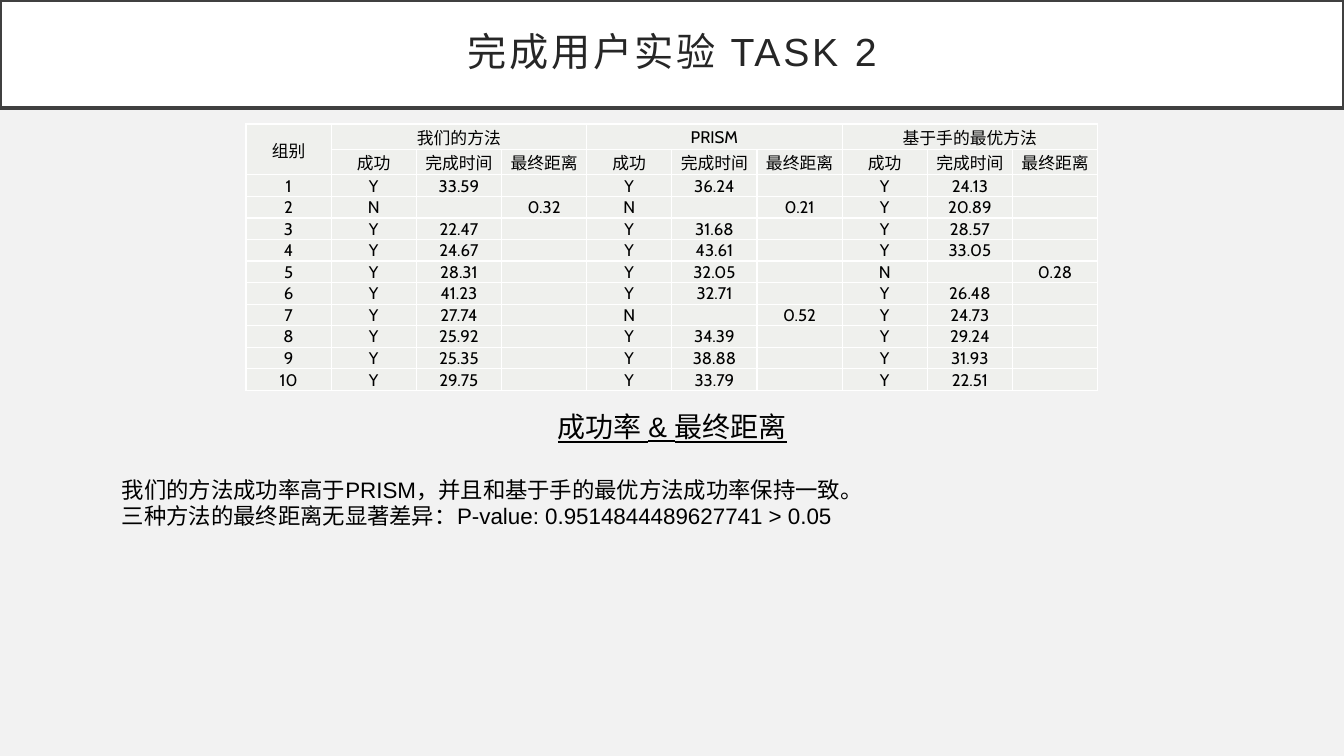
from lxml.etree import SubElement as Sub
from pptx import Presentation
from pptx.dml.color import RGBColor
from pptx.enum.text import MSO_ANCHOR as Anchor, MSO_AUTO_SIZE as Fit, PP_ALIGN as Align
from pptx.oxml.ns import qn
from pptx.util import Pt

SCALE = 914400 / 100.8
HEADS = ["成功", "完成时间", "最终距离"]
METHODS = {
    "我们的方法": "33.59 0.32 22.47 24.67 28.31 41.23 27.74 25.92 25.35 29.75",
    "PRISM": "36.24 0.21 31.68 43.61 32.05 32.71 0.52 34.39 38.88 33.79",
    "基于手的最优方法": "24.13 20.89 28.57 33.05 0.28 26.48 24.73 29.24 31.93 22.51",
}


def px(size):
    return round(size * SCALE)


def color(code):
    return RGBColor.from_string(code)


def result(value):
    return ["N", "", value] if value.startswith("0.") else ["Y", value, ""]


def make_rows():
    top, heads = ["组别"], [""]
    for name in METHODS:
        top += [name, "", ""]
        heads += HEADS
    rows = [top, heads]
    trials = zip(*(values.split() for values in METHODS.values()))
    for group, trial in enumerate(trials, 1):
        rows.append([str(group)] + [text for value in trial for text in result(value)])
    return rows


class Deck:
    font = "Arial"
    grid_font = "Cabin"
    ink = "000000"
    dark = "262626"
    edge = "404040"
    white = "FFFFFF"
    back = "F2F2F2"
    tint = "EFF0ED"

    def __init__(self, width, height):
        self.show = Presentation()
        self.show.slide_width, self.show.slide_height = px(width), px(height)
        self.slide = self.show.slides.add_slide(self.show.slide_layouts[5])
        fill = self.slide.background.fill
        fill.solid()
        fill.fore_color.rgb = color(self.back)

    def style(self, para, size, font, ink, align=Align.LEFT, line=False):
        para.alignment = align
        for run in para.runs:
            run.font.size = Pt(size)
            run.font.name = font
            run.font.color.rgb = color(ink)
            run.font.underline = line

    def title(self, text, left, top, width, height, pad):
        shape = self.slide.shapes.title
        shape.left, shape.top, shape.width, shape.height = map(px, (left, top, width, height))
        shape.fill.solid()
        shape.fill.fore_color.rgb = color(self.white)
        shape.line.color.rgb = color(self.edge)
        shape.line.width = Pt(2.5)
        frame = shape.text_frame
        frame.text = text
        frame.auto_size = Fit.NONE
        frame.word_wrap = True
        frame.vertical_anchor = Anchor.MIDDLE
        frame.margin_left = frame.margin_right = px(pad)
        frame.margin_top = frame.margin_bottom = px(pad)
        para = frame.paragraphs[0]
        para.line_spacing = 0.9
        self.style(para, 28, self.font, self.dark, Align.CENTER)
        for run in para.runs:
            run.font._element.set("spc", "200")

    def cell(self, cell, text):
        cell.text = text
        cell.margin_left = cell.margin_right = cell.margin_top = px(1)
        cell.margin_bottom = 0
        cell.vertical_anchor = Anchor.MIDDLE
        para = cell.text_frame.paragraphs[0]
        self.style(para, 12, self.grid_font, self.ink, Align.CENTER)
        if not text:
            Sub(para._p, qn("a:endParaRPr"), sz="1200")
        props = cell._tc.get_or_add_tcPr()
        for side in "LRTB":
            line = Sub(props, qn("a:ln" + side), w=str(Pt(1)))
            Sub(Sub(line, qn("a:solidFill")), qn("a:srgbClr"), val=self.white)
        cell.fill.solid()
        cell.fill.fore_color.rgb = color(self.tint)

    def table(self, rows, left, top, width, height):
        box = map(px, (left, top, width, height))
        table = self.slide.shapes.add_table(len(rows), len(rows[0]), *box).table
        table.first_row = table.horz_banding = False
        for y, row in enumerate(rows):
            for x, text in enumerate(row):
                self.cell(table.cell(y, x), text)
        table.cell(0, 0).merge(table.cell(1, 0))
        for x in range(1, len(rows[0]), len(HEADS)):
            table.cell(0, x).merge(table.cell(0, x + len(HEADS) - 1))

    def notes(self, head, lines, left, top, width, height):
        box = self.slide.shapes.add_textbox(*map(px, (left, top, width, height)))
        frame = box.text_frame
        frame.word_wrap = True
        frame.text = "\n".join([head, *lines])
        first, *rest = frame.paragraphs
        self.style(first, 20, self.font, self.ink, Align.CENTER, True)
        for para in rest:
            self.style(para, 16, self.font, self.ink)
        rest[0].space_before = Pt(23)


def main():
    deck = Deck(1344, 756)
    deck.title("完成用户实验 TASK 2", 0, 0, 1344, 108, 20)
    deck.table(make_rows(), 246, 124, 852, 254)
    deck.notes(
        "成功率 & 最终距离",
        [
            "我们的方法成功率高于PRISM，并且和基于手的最优方法成功率保持一致。",
            "三种方法的最终距离无显著差异：P-value: 0.9514844489627741 > 0.05",
        ],
        112, 405, 1121, 132,
    )
    deck.show.save("out.pptx")


if __name__ == "__main__":
    main()
